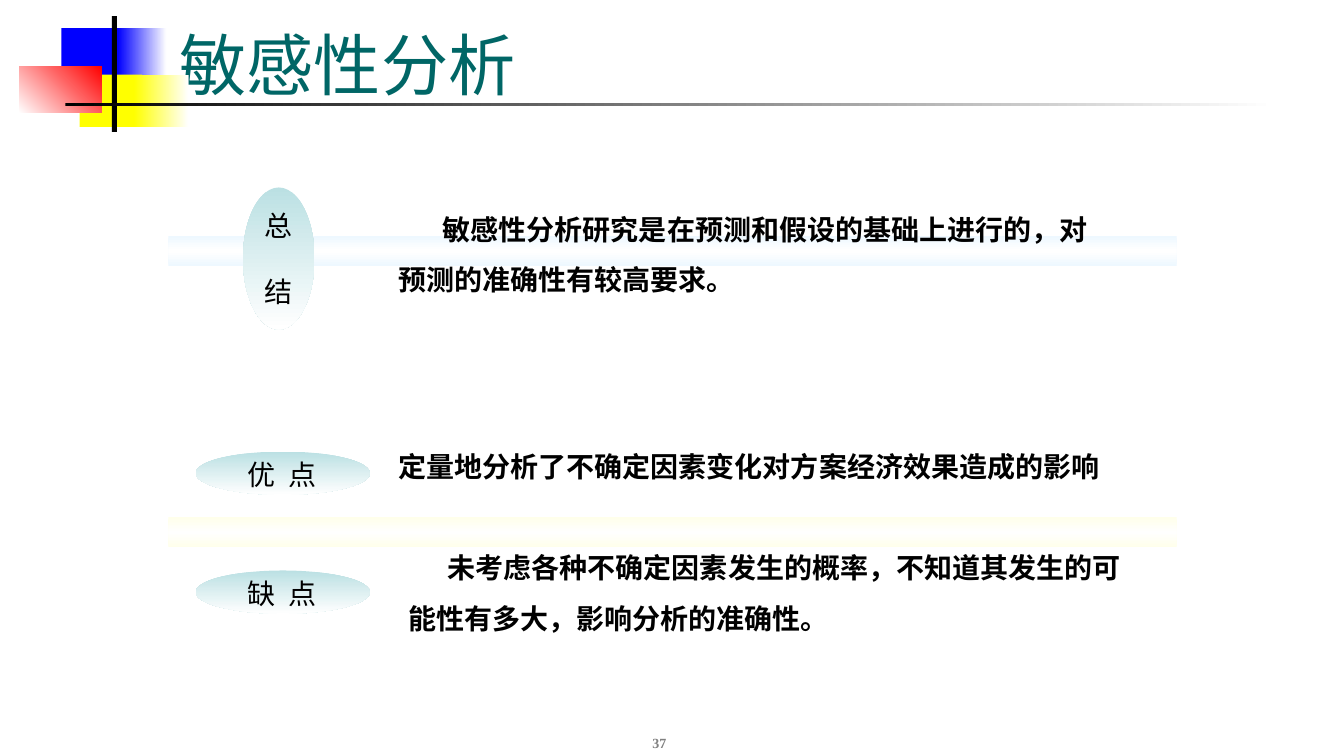
from dataclasses import dataclass

from lxml import etree
from pptx import Presentation, util as u
from pptx.dml.color import RGBColor
from pptx.enum import shapes, text
from pptx.oxml.ns import qn

RECT = shapes.MSO_SHAPE.RECTANGLE
OVAL = shapes.MSO_SHAPE.OVAL
LEFT, CENTER = text.PP_ALIGN.LEFT, text.PP_ALIGN.CENTER
TOP, MIDDLE, BOTTOM = (text.MSO_ANCHOR.TOP, text.MSO_ANCHOR.MIDDLE,
                       text.MSO_ANCHOR.BOTTOM)


@dataclass(frozen=True)
class Theme:
    serif: str = "Times New Roman"
    sans: str = "Arial"
    title_size: int = 48
    body_size: int = 20
    number_size: int = 10
    title: str = "006666"
    ink: str = "000000"
    number: str = "808080"
    white: str = "FFFFFF"
    blue: str = "0000FF"
    yellow: str = "FFFF00"
    red: str = "FF0000"
    teal: str = "BBE0E3"
    sky: str = "EEF8FF"
    cream: str = "FFFFEB"
    ivory: str = "FFFFFE"


class Deck:
    """Draws on the current slide; lengths are cells of a grid, ten to the inch."""

    cell = u.Inches(0.1)

    def __init__(self, theme):
        self.theme = theme
        self.prs = Presentation()
        self.prs.slide_width, self.prs.slide_height = u.Inches(13.33), u.Inches(7.5)

    def add_slide(self):
        self.s = self.prs.slides.add_slide(self.prs.slide_layouts[5])

    def place(self, *cells):
        return [round(n * self.cell) for n in cells]

    def shape(self, kind, box, colors, angle=0):
        """Borderless shape; several colours make a gradient, angle clockwise."""
        sp = self.s.shapes.add_shape(kind, *self.place(*box))
        sp.shadow.inherit = False
        sp.line.fill.background()
        if len(colors) == 1:
            sp.fill.solid()
            sp.fill.fore_color.rgb = RGBColor.from_string(colors[0])
            return sp
        sp.fill.gradient()
        sp.fill.gradient_angle = -angle % 360
        stops = next(sp._element.spPr.iter(qn("a:gsLst")))
        for stop in list(stops):
            stops.remove(stop)
        for i, color in enumerate(colors):
            stop = etree.SubElement(stops, qn("a:gs"),
                                    pos=str(100000 * i // (len(colors) - 1)))
            etree.SubElement(stop, qn("a:srgbClr"), val=color)
        return sp

    def frame(self, sp, anchor, inset=(0, 0)):
        tf = sp.text_frame
        tf.word_wrap = True
        tf.auto_size = text.MSO_AUTO_SIZE.NONE
        tf.vertical_anchor = anchor
        tf.margin_left = tf.margin_right = u.Inches(inset[0])
        tf.margin_top = tf.margin_bottom = u.Inches(inset[1])
        return tf

    def add_lines(self, tf, lines, size, font, color, bold=False, align=LEFT,
                  spacing=1.0, indent=0, gap=0, tracking=0):
        """Fill tf; indent (inches) is for the first line, gap (points) between lines."""
        for i, line in enumerate(lines):
            p = tf.add_paragraph() if i else tf.paragraphs[0]
            p.alignment, p.line_spacing = align, spacing
            p.space_before = u.Pt(gap if i else 0)
            if indent and not i:
                pPr = p._p.get_or_add_pPr()
                pPr.set("marL", "0")
                pPr.set("indent", str(u.Inches(indent)))
            r = p.add_run()
            r.text = line
            r.font.size, r.font.name, r.font.bold = u.Pt(size), font, bold
            r.font.color.rgb = RGBColor.from_string(color)
            if tracking:
                r._r.get_or_add_rPr().set("spc", str(round(tracking * 100)))

    def title(self, box, words):
        t, sp = self.theme, self.s.shapes.title
        sp.left, sp.top, sp.width, sp.height = self.place(*box)
        self.add_lines(self.frame(sp, BOTTOM, (0.1, 0.05)), [words],
                       t.title_size, t.serif, t.title)

    def body(self, box, lines, anchor=BOTTOM, inset=(0, 0), bold=True, **style):
        t = self.theme
        sp = self.s.shapes.add_textbox(*self.place(*box))
        self.add_lines(self.frame(sp, anchor, inset), lines, t.body_size, t.sans,
                       t.ink, bold=bold, **style)

    def label(self, top, words):
        self.shape(OVAL, (19.4, top, 17.3, 4.3), (self.theme.teal, self.theme.white), 90)
        self.body((23.3, top + 0.6, 9.4, 3.3), [words], bold=False,
                  align=CENTER, tracking=2.5)

    def upright_label(self, box, lines):
        t = self.theme
        sp = self.shape(OVAL, box, (t.teal, t.white), 90)
        self.add_lines(self.frame(sp, MIDDLE), lines, t.body_size, t.sans, t.ink,
                       align=CENTER, gap=23)

    def page_number(self, box, number):
        t = self.theme
        sp = self.s.shapes.add_textbox(*self.place(*box))
        self.add_lines(self.frame(sp, BOTTOM, (0.1, 0.05)), [number], t.number_size,
                       t.serif, t.number, bold=True, align=CENTER)

    def ornament(self):
        t = self.theme
        for box, colors, angle in (
                ((6.1, 2.8, 6.4, 5.2), (t.blue,), 0),
                ((11.7, 2.8, 4.8, 5.2), (t.blue, t.white), 0),
                ((7.9, 7.4, 6.2, 5.2), (t.yellow,), 0),
                ((13.3, 7.4, 5.4, 5.2), (t.yellow, t.white), 0),
                ((1.9, 6.6, 8.2, 4.6), (t.white, t.red), 315),
                ((11.1, 1.6, 0.5, 11.5), (t.ink,), 0),
                ((6.5, 10.2, 120, 0.3), (t.ink, t.white), 0)):
            self.shape(RECT, box, colors, angle)

    def band(self, top, edge, middle):
        self.shape(RECT, (16.7, top, 100, 3), (edge, middle, edge), 90)


def main():
    t = Theme()
    deck = Deck(t)
    deck.add_slide()
    deck.ornament()
    deck.page_number((51.5, 70, 27.8, 5), "37")
    deck.title((16.8, 1.6, 113.6, 9.2), "敏感性分析")
    deck.band(23.4, t.sky, t.white)
    deck.band(51.3, t.cream, t.ivory)
    deck.body((39.5, 52.5, 72.8, 10.5),
              ["未考虑各种不确定因素发生的概率，不知道其发生的可能性有多大，影响分析的准确性。"],
              anchor=TOP, inset=(0.1, 0.05), spacing=1.5, indent=0.39)
    deck.body((39.5, 19.9, 75.6, 9.5),
              ["敏感性分析研究是在预测和假设的基础上进行的，对", "预测的准确性有较高要求。"],
              spacing=1.5, indent=0.44)
    deck.body((39.5, 44.6, 77.2, 3.3),
              ["定量地分析了不确定因素变化对方案经济效果造成的影响"])
    deck.label(56.6, "缺 点")
    deck.label(44.8, "优 点")
    deck.upright_label((24.1, 18.6, 7.1, 14.1), ["总", "结"])
    deck.prs.save("out.pptx")


if __name__ == "__main__":
    main()
